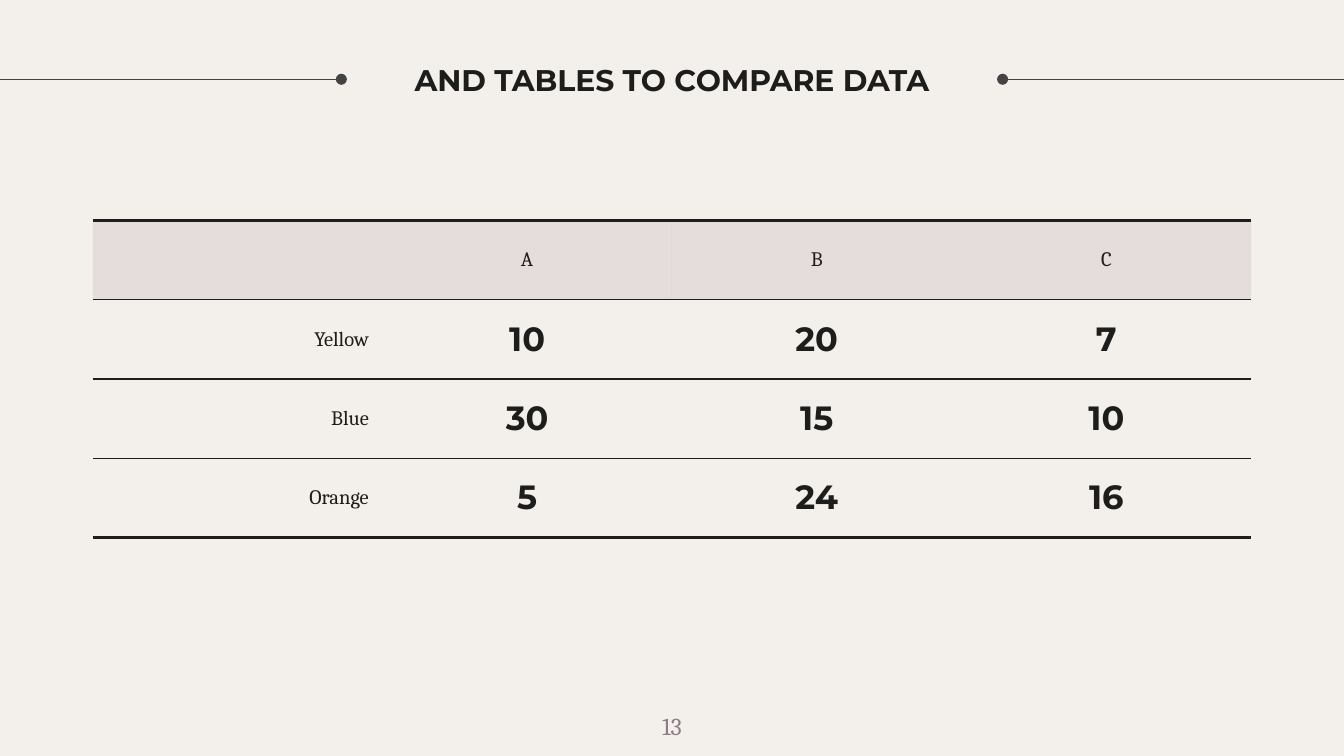
from dataclasses import dataclass

from pptx import Presentation
from pptx.dml.color import RGBColor
from pptx.enum.shapes import MSO_CONNECTOR
from pptx.enum.text import MSO_ANCHOR, MSO_AUTO_SIZE, PP_ALIGN
from pptx.oxml.ns import qn
from pptx.util import Inches, Pt
from lxml.etree import SubElement


@dataclass(frozen=True)
class Theme:
    background: str = "F3EFEA"
    ink: str = "1D1D1B"
    rule: str = "434343"
    accent: str = "8F7B87"
    header_opacity: int = 15
    heading_font: str = "Montserrat"
    body_font: str = "Cambria"
    title_size: float = 16
    label_size: float = 11
    value_size: float = 18
    number_size: float = 13
    thin: float = 0.75
    thick: float = 2.25


THEME = Theme()
SLIDE_WIDTH = 10
SLIDE_HEIGHT = SLIDE_WIDTH * 9 / 16
MARGIN = 0.69
TABLE_TOP, ROW_HEIGHT = 1.64, 0.59
TITLE_LEFT, TITLE_RIGHT, RULE_Y = 2.54, 7.46, 0.59

ROWS = [
    ("", "A", "B", "C"),
    ("Yellow", "10", "20", "7"),
    ("Blue", "30", "15", "10"),
    ("Orange", "5", "24", "16"),
]


def style_text(frame, text, font_name, size, color, align=PP_ALIGN.CENTER, bold=False):
    frame.text = text
    paragraph = frame.paragraphs[0]
    paragraph.alignment = align
    font = paragraph.font
    font.name, font.size, font.bold = font_name, Pt(size), bold
    font.color.rgb = RGBColor.from_string(color)


def set_insets(frame, inset):
    frame.margin_left = frame.margin_right = Inches(inset)
    frame.margin_top = frame.margin_bottom = Inches(inset)


def add_title(slide, text):
    title = slide.shapes.title
    title.left, title.top = Inches(TITLE_LEFT), Inches(0.12)
    title.width, title.height = Inches(TITLE_RIGHT - TITLE_LEFT), Inches(0.94)
    frame = title.text_frame
    frame.auto_size = MSO_AUTO_SIZE.NONE
    frame.vertical_anchor = MSO_ANCHOR.MIDDLE
    set_insets(frame, 0.1)
    style_text(frame, text, THEME.heading_font, THEME.title_size, THEME.ink, bold=True)


def add_dotted_rule(slide, start_x, end_x):
    """Draw a horizontal rule with a dot at its start."""
    rule = slide.shapes.add_connector(
        MSO_CONNECTOR.STRAIGHT,
        Inches(start_x), Inches(RULE_Y), Inches(end_x), Inches(RULE_Y),
    )
    rule.line.color.rgb = RGBColor.from_string(THEME.rule)
    rule.line.width = Pt(THEME.thin)
    SubElement(rule.line._get_or_add_ln(), qn("a:headEnd"), type="oval")
    SubElement(rule._element.spPr, qn("a:effectLst"))


def set_borders(cell, top, bottom):
    """Rule the cell above and below, in points, and leave its sides open."""
    properties = cell._tc.get_or_add_tcPr()
    for side, width in (("L", 0), ("R", 0), ("T", top), ("B", bottom)):
        line = SubElement(properties, qn(f"a:ln{side}"), w=str(Pt(width)))
        if width:
            fill = SubElement(line, qn("a:solidFill"))
            SubElement(fill, qn("a:srgbClr"), val=THEME.ink)
        else:
            SubElement(line, qn("a:noFill"))


def fill_header(cell):
    cell.fill.solid()
    cell.fill.fore_color.rgb = RGBColor.from_string(THEME.accent)
    color = cell._tc.tcPr.find(qn("a:solidFill")).find(qn("a:srgbClr"))
    SubElement(color, qn("a:alpha"), val=str(THEME.header_opacity * 1000))


def format_cell(cell, text, row, column):
    is_header, is_last = row == 0, row == len(ROWS) - 1
    is_value = not is_header and column > 0
    set_borders(
        cell,
        THEME.thick if is_header else THEME.thin,
        THEME.thick if is_last else THEME.thin,
    )
    if is_header:
        fill_header(cell)
    else:
        cell.fill.background()
    cell.vertical_anchor = MSO_ANCHOR.MIDDLE
    cell.margin_left = cell.margin_right = Inches(0.1)
    cell.margin_top = cell.margin_bottom = Inches(0.07)
    style_text(
        cell.text_frame,
        text,
        THEME.heading_font if is_value else THEME.body_font,
        THEME.value_size if is_value else THEME.label_size,
        THEME.ink,
        align=PP_ALIGN.CENTER if column else PP_ALIGN.RIGHT,
        bold=is_value,
    )


def add_data_table(slide):
    table = slide.shapes.add_table(
        len(ROWS), len(ROWS[0]),
        Inches(MARGIN), Inches(TABLE_TOP),
        Inches(SLIDE_WIDTH - 2 * MARGIN), Inches(ROW_HEIGHT * len(ROWS)),
    ).table
    table.first_row = table.horz_banding = False
    for row, values in enumerate(ROWS):
        for column, text in enumerate(values):
            format_cell(table.cell(row, column), text, row, column)


def add_page_number(slide, text):
    width, height = 0.6, 0.43
    box = slide.shapes.add_textbox(
        Inches((SLIDE_WIDTH - width) / 2), Inches(SLIDE_HEIGHT - height),
        Inches(width), Inches(height),
    )
    box.text_frame.word_wrap = True
    set_insets(box.text_frame, 0.1)
    style_text(box.text_frame, text, THEME.body_font, THEME.number_size, THEME.accent)


def main():
    presentation = Presentation()
    presentation.slide_width = Inches(SLIDE_WIDTH)
    presentation.slide_height = Inches(SLIDE_HEIGHT)
    slide = presentation.slides.add_slide(presentation.slide_layouts[5])
    slide.background.fill.solid()
    slide.background.fill.fore_color.rgb = RGBColor.from_string(THEME.background)

    add_dotted_rule(slide, TITLE_LEFT, 0)
    add_dotted_rule(slide, TITLE_RIGHT, SLIDE_WIDTH)
    add_title(slide, "AND TABLES TO COMPARE DATA")
    add_data_table(slide)
    add_page_number(slide, "13")
    presentation.save("out.pptx")


if __name__ == "__main__":
    main()
